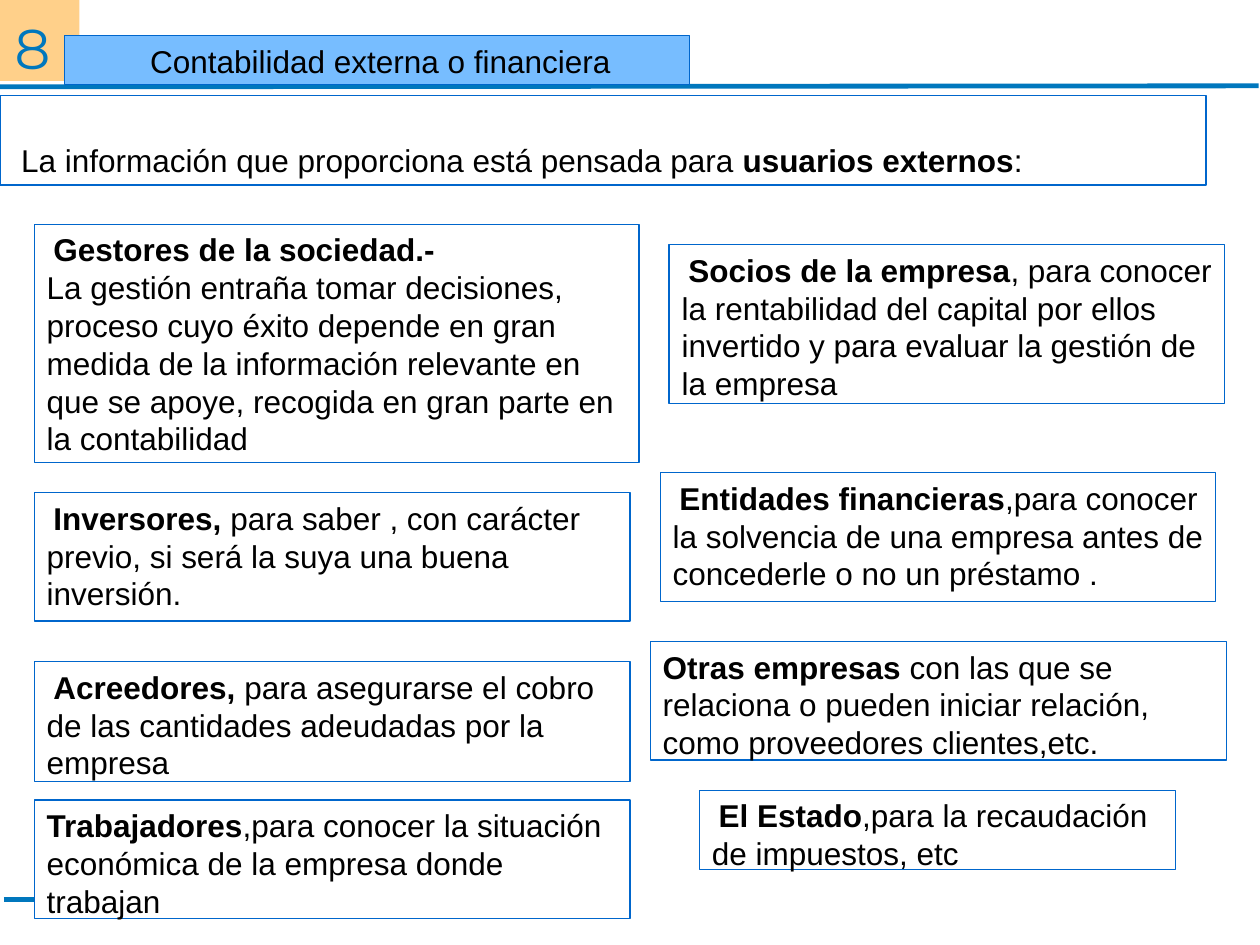
from dataclasses import dataclass

from lxml.etree import SubElement
from pptx import Presentation
from pptx.dml.color import RGBColor as RGB
from pptx.enum.shapes import MSO_CONNECTOR as Connector, MSO_SHAPE as Shape
from pptx.enum.text import MSO_ANCHOR as Anchor, MSO_AUTO_SIZE as AutoSize, PP_ALIGN as Align
from pptx.oxml.ns import qn
from pptx.util import Cm, Pt


@dataclass(frozen=True)
class Theme:
    text: RGB = RGB(0, 0, 0)
    paper: RGB = RGB(0xFF, 0xFF, 0xFF)
    border: RGB = RGB(0x00, 0x66, 0xCC)
    rule: RGB = RGB(0x00, 0x77, 0xBD)
    title_fill: RGB = RGB(0x77, 0xBD, 0xFF)
    badge: RGB = RGB(0xFF, 0x99, 0x00)
    font: str = "Arial"
    number_font: str = "Montserrat"
    body: Pt = Pt(18)
    indent: Pt = Pt(14)
    number: Pt = Pt(32)
    border_width: Pt = Pt(0.75)
    rule_width: Pt = Pt(2.75)


THEME = Theme()

# Left, top, width, height in cm; then paragraphs of (text, bold) runs
USER_BOXES = [
    ((0.69, 4.52, 12.19, 4.8), [
        [(" ", False), ("Gestores de la sociedad.-", True)],
        [("La gestión entraña tomar decisiones, proceso cuyo éxito depende en gran "
          "medida de la información relevante en que se apoye, recogida en gran "
          "parte en la contabilidad", False)]]),
    ((13.49, 4.93, 11.2, 3.2), [
        [(" ", False), ("Socios de la empresa", True),
         (", para conocer la rentabilidad del capital por ellos invertido y para "
          "evaluar la gestión de la empresa", False)]]),
    ((0.69, 9.93, 12.01, 2.59), [
        [(" ", False), ("Inversores, ", True),
         ("para saber , con carácter previo, si será la suya una buena inversión.", False)]]),
    ((13.31, 9.53, 11.2, 2.59), [
        [(" ", False), ("Entidades financieras", True),
         (",para conocer la solvencia de una empresa antes de concederle o no un "
          "préstamo .", False)]]),
    ((0.69, 13.34, 12.01, 2.41), [
        [(" ", True), ("Acreedores, ", True),
         ("para asegurarse el cobro de las cantidades adeudadas por la empresa", False)]]),
    ((13.11, 12.93, 11.61, 2.39), [
        [("Otras empresas ", True),
         ("con las que se relaciona o pueden iniciar relación, como proveedores "
          "clientes,etc.", False)]]),
    ((0.69, 16.13, 12.01, 2.39), [
        [("Trabajadores", True),
         (",para conocer la situación económica de la empresa donde trabajan", False)]]),
    ((14.1, 15.93, 9.6, 1.6), [
        [(" ", True), ("El Estado", True),
         (",para la recaudación de impuestos, etc", False)]]),
]


def place(sp, box):
    sp.left, sp.top, sp.width, sp.height = map(Cm, box)


def style_box(sp, fill):
    sp.fill.solid()
    sp.fill.fore_color.rgb = fill
    sp.line.color.rgb = THEME.border
    sp.line.width = THEME.border_width


def write(tf, paragraphs, align=Align.LEFT, anchor=Anchor.TOP):
    tf.word_wrap = True
    tf.auto_size = AutoSize.NONE
    tf.vertical_anchor = anchor
    for i, runs in enumerate(paragraphs):
        p = tf.add_paragraph() if i else tf.paragraphs[0]
        p.alignment = align
        for text, bold in runs:
            r = p.add_run()
            r.text = text
            r.font.name = THEME.font
            r.font.size = THEME.body if text.strip() else THEME.indent
            r.font.bold = bold
            r.font.color.rgb = THEME.text


def add_rule(s, x1, y1, x2, y2):
    line = s.shapes.add_connector(Connector.STRAIGHT, Cm(x1), Cm(y1), Cm(x2), Cm(y2))
    line.line.color.rgb = THEME.rule
    line.line.width = THEME.rule_width
    SubElement(line.element.spPr, qn("a:effectLst"))


def add_badge(s, number):
    sp = s.shapes.add_shape(Shape.RECTANGLE, 0, 0, Cm(1.6), Cm(1.63))
    sp.shadow.inherit = False
    sp.fill.solid()
    sp.fill.fore_color.rgb = THEME.badge
    color = sp.element.spPr.find(qn("a:solidFill"))[0]
    SubElement(color, qn("a:alpha"), val="46000")
    sp.line.fill.background()
    tf = sp.text_frame
    tf.margin_left = tf.margin_top = tf.margin_right = tf.margin_bottom = 0
    tf.vertical_anchor = Anchor.TOP
    p = tf.paragraphs[0]
    p.text = number
    p.alignment = Align.LEFT
    p.line_spacing = 1.2
    font = p.runs[0].font
    font.name, font.size = THEME.number_font, THEME.number
    font.color.rgb = THEME.rule


def add_box(s, box, paragraphs, anchor=Anchor.TOP):
    sp = s.shapes.add_shape(Shape.FLOWCHART_PROCESS, *map(Cm, box))
    sp.shadow.inherit = False
    style_box(sp, THEME.paper)
    write(sp.text_frame, paragraphs, anchor=anchor)


def format_title(s, box, text):
    sp = s.shapes.title
    place(sp, box)
    style_box(sp, THEME.title_fill)
    write(sp.text_frame, [[(" ", False), (text, False)]], Align.CENTER)
    # Bring the title in front of the badge and the rule
    s.shapes.element.append(sp.element)


def main():
    prs = Presentation()
    prs.slide_width, prs.slide_height = Cm(25.4), Cm(19.05)
    s = prs.slides.add_slide(prs.slide_layouts[5])

    # Frame: rules and slide number
    add_rule(s, -0.03, 1.75, 25.37, 1.73)
    add_badge(s, " 8")
    add_rule(s, 0.08, 18.14, 5.69, 18.14)

    # External users
    for box, paragraphs in USER_BOXES:
        add_box(s, box, paragraphs)

    # Title and introduction
    format_title(s, (1.3, 0.71, 12.6, 0.99), "Contabilidad externa o financiera")
    add_box(s, (0, 1.93, 24.31, 1.8), [
        [(" La información que proporciona está pensada para ", False),
         ("usuarios externos", True), (":", False)]], Anchor.BOTTOM)

    prs.save("out.pptx")


if __name__ == "__main__":
    main()
